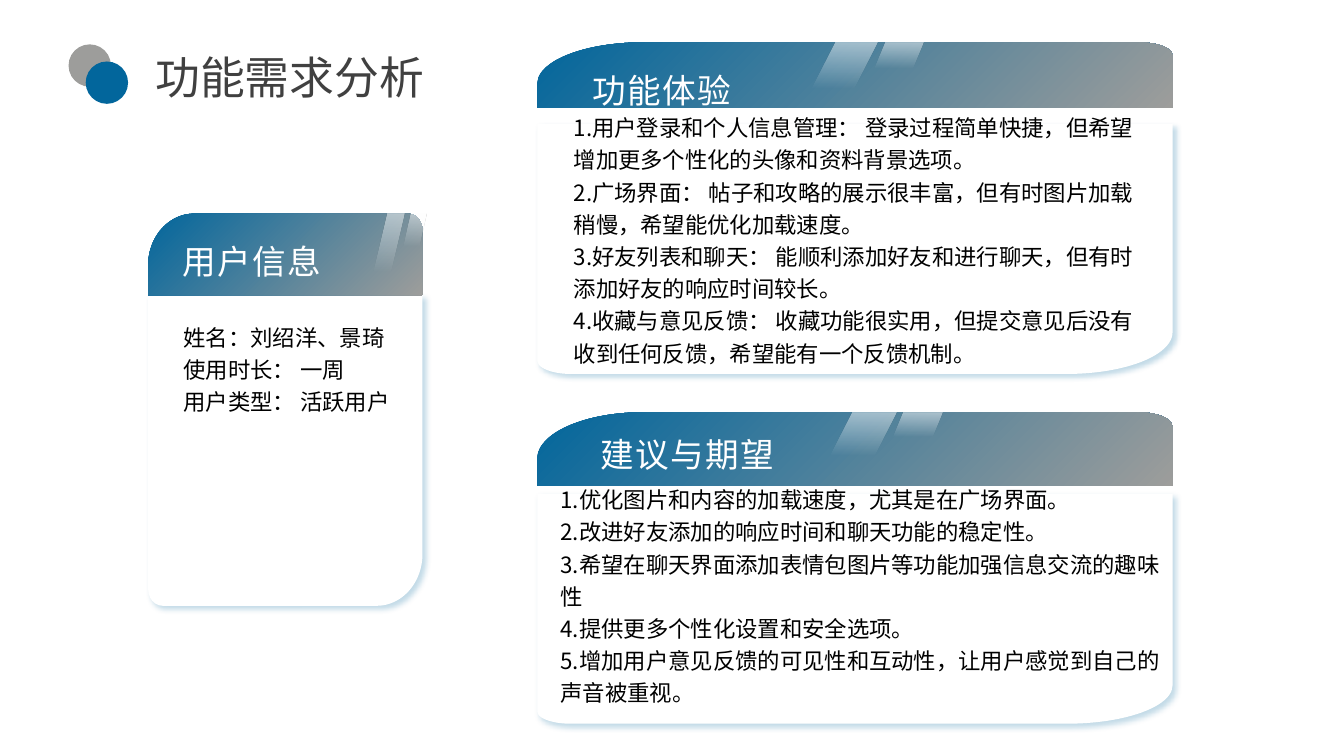
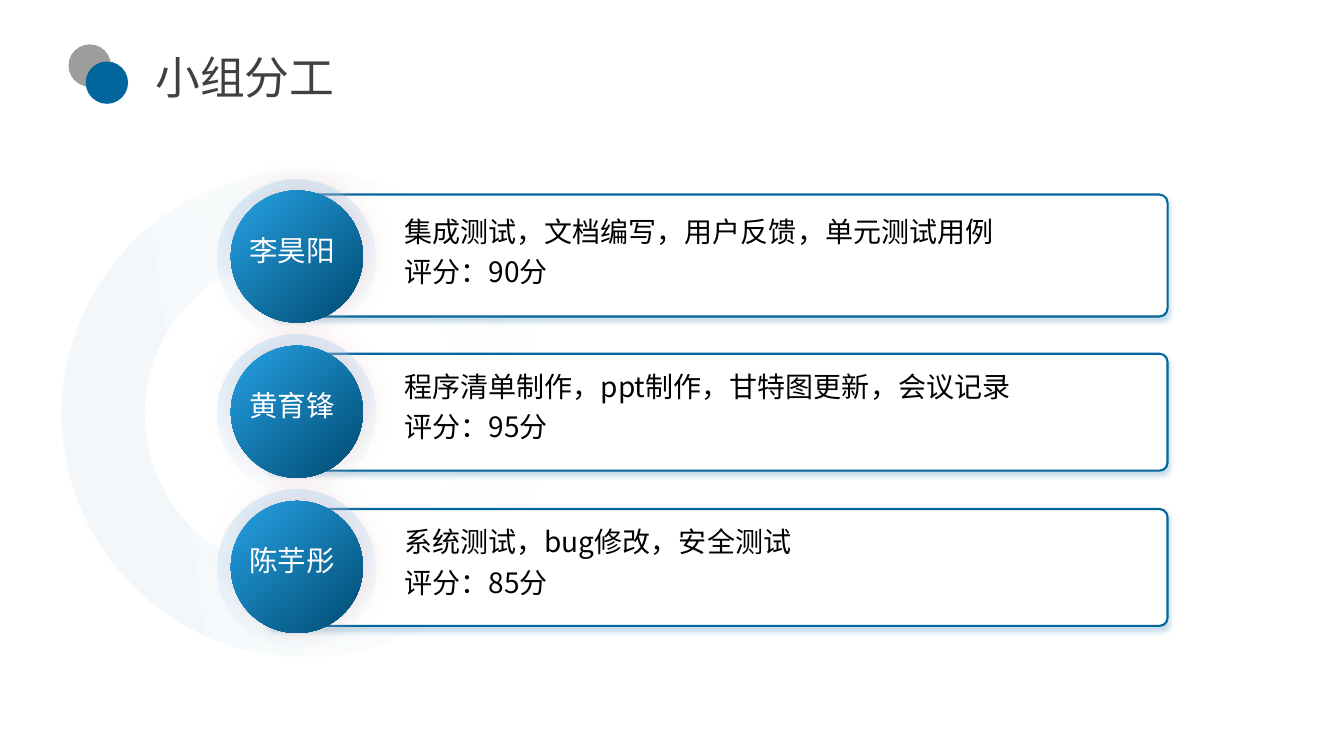
from pptx import Presentation
from pptx.dml.color import RGBColor
from pptx.enum.shapes import MSO_SHAPE as Preset
from pptx.enum.text import MSO_ANCHOR as Anchor, MSO_AUTO_SIZE as AutoSize, PP_ALIGN as Align
from pptx.oxml import parse_xml
from pptx.oxml.ns import nsdecls, qn
from pptx.util import Inches, Pt

BLUE = RGBColor(0x02, 0x66, 0x9C)
GREY = RGBColor(0x9D, 0x9D, 0x9B)
DARK = RGBColor(0x40, 0x40, 0x40)
BLACK = RGBColor(0, 0, 0)
WHITE = RGBColor(255, 255, 255)
MIST = RGBColor(0xFC, 0xFE, 0xFD)
PALE = RGBColor(0xB9, 0xE6, 0xFE)
SKY = RGBColor(0x74, 0xCD, 0xFD)
BRIGHT = RGBColor(0x2E, 0xB4, 0xFC)
NAVY = RGBColor(0x01, 0x4D, 0x75)
PINK = RGBColor(0xF0, 0xAA, 0xAD)
FONT = "Noto Sans CJK JP"


def paint(shape, fill, angle=90, shadow=None):
    shape.line.fill.background()
    shape.shadow.inherit = False
    properties = shape._element.spPr
    if isinstance(fill, RGBColor):
        shape.fill.solid()
        shape.fill.fore_color.rgb = fill
    else:
        stops = "".join(
            f'<a:gs pos="{place * 1000}"><a:srgbClr val="{colour}">'
            f'<a:alpha val="{alpha * 1000}"/></a:srgbClr></a:gs>'
            for place, colour, alpha in fill
        )
        shape.fill.background()
        properties.replace(properties.find(qn("a:noFill")), parse_xml(
            f'<a:gradFill {nsdecls("a")} rotWithShape="1"><a:gsLst>{stops}</a:gsLst>'
            f'<a:lin ang="{angle * 60000}" scaled="0"/></a:gradFill>'))
    if shadow:
        colour, alpha, blur, distance, direction = shadow
        properties.find(qn("a:effectLst")).append(parse_xml(
            f'<a:outerShdw {nsdecls("a")} blurRad="{Pt(blur)}" dist="{Pt(distance)}" '
            f'dir="{direction * 60000}" algn="ctr" rotWithShape="0"><a:srgbClr val="{colour}">'
            f'<a:alpha val="{alpha * 1000}"/></a:srgbClr></a:outerShdw>'))


def write(box, place, text, size, colour, inset=(0, 0), leading=1.2, wrap=True, spacing=0):
    box.left, box.top, box.width, box.height = [Inches(value) for value in place]
    frame = box.text_frame
    frame.text = text
    frame.word_wrap = wrap
    frame.auto_size = AutoSize.NONE
    frame.vertical_anchor = Anchor.TOP
    frame.margin_left = frame.margin_right = Inches(inset[0])
    frame.margin_top = frame.margin_bottom = Inches(inset[1])
    for para in frame.paragraphs:
        para.alignment = Align.LEFT
        para.line_spacing = leading
        para.space_before = Pt(0)
        settings = para._p.get_or_add_pPr()
        settings.set("marL", "0")
        settings.set("indent", "0")
        settings.append(parse_xml(f'<a:buNone {nsdecls("a")}/>'))
        for span in para.runs:
            span.font.size = Pt(size)
            span.font.bold = False
            span.font.color.rgb = colour
            span.font.name = FONT
            letters = span._r.get_or_add_rPr()
            letters.set("spc", str(spacing * 100))
            letters.append(parse_xml(f'<a:ea {nsdecls("a")} typeface="{FONT}"/>'))


deck = Presentation()
deck.slide_width = Inches(13.33)
deck.slide_height = Inches(7.5)

pages = []
for title, layout in (("功能需求分析", 4), ("小组分工", 5)):
    page = deck.slides.add_slide(deck.slide_layouts[layout])
    for left, top, colour in ((0.68, 0.44, GREY), (0.85, 0.61, BLUE)):
        dot = page.shapes.add_shape(Preset.FLOWCHART_CONNECTOR, Inches(left), Inches(top),
                                    Inches(0.42), Inches(0.42))
        paint(dot, colour)
    write(page.shapes.title, (1.44, 0.44, 2.9, 0.64), title, 32, DARK,
          inset=(0.1, 0.05), leading=1)
    pages.append(page)
needs, team = pages

cards = [
    dict(left=1.47, width=2.72, header=(2.12, 0.81), body=(2.93, 3.08), shine=(3.66, 0.35, 0.75),
         slots=None, heading="用户信息", heading_at=(1.81, 2.31, 1.91, 0.48),
         text_at=(1.82, 3.16, 2.56, 0.97),
         lines=["姓名：刘绍洋、景琦", "使用时长： 一周", "用户类型： 活跃用户"]),
    dict(left=5.33, width=6.3, header=(0.42, 0.65), body=(1.23, 2.48), shine=(7.98, 0.72, 0.6),
         slots=(1, 2), heading="功能体验", heading_at=(5.88, 0.61, 3.95, 0.39),
         text_at=(5.69, 1.08, 5.72, 2.22),
         lines=["1.用户登录和个人信息管理： 登录过程简单快捷，但希望增加更多个性化的头像和资料背景选项。",
                "2.广场界面： 帖子和攻略的展示很丰富，但有时图片加载稍慢，希望能优化加载速度。",
                "3.好友列表和聊天： 能顺利添加好友和进行聊天，但有时添加好友的响应时间较长。",
                "4.收藏与意见反馈： 收藏功能很实用，但提交意见后没有收到任何反馈，希望能有一个反馈机制。"]),
    dict(left=5.33, width=6.3, header=(4.09, 0.73), body=(4.9, 2.28), shine=(8.17, 0.72, 0.56),
         slots=(3, 4), heading="建议与期望", heading_at=(5.96, 4.22, 3.95, 0.36),
         text_at=(5.56, 4.77, 6, 2.25),
         lines=["1.优化图片和内容的加载速度，尤其是在广场界面。",
                "2.改进好友添加的响应时间和聊天功能的稳定性。",
                "3.希望在聊天界面添加表情包图片等功能加强信息交流的趣味性",
                "4.提供更多个性化设置和安全选项。",
                "5.增加用户意见反馈的可见性和互动性，让用户感觉到自己的声音被重视。"]),
]

for card in cards:
    for part, tall, low, turn in (("body", 1 / 6, 1 / 19, 0), ("header", 0.63, 0.2, 180)):
        top, height = card[part]
        outline = [(0, tall), (1 / 6, 0), (18 / 19, 0), (1, low), (1, 1), (0, 1)]
        if part == "body":
            outline = [(1 - across, 1 - down) for across, down in outline]
        points = [(Inches(card["left"] + card["width"] * across), Inches(top + height * down))
                  for across, down in outline]
        builder = needs.shapes.build_freeform(*points[0])
        builder.add_line_segments(points[1:], close=True)
        panel = builder.convert_to_shape()
        edges = list(panel._element.iter(qn("a:lnTo")))
        for edge, across, down, start in ((0, 1 / 6, tall, turn), (2, 1 / 19, low, turn + 90)):
            edges[edge].getparent().replace(edges[edge], parse_xml(
                f'<a:arcTo {nsdecls("a")} wR="{Inches(card["width"] * across)}" '
                f'hR="{Inches(height * down)}" stAng="{start * 60000}" swAng="5400000"/>'))
        if part == "body":
            paint(panel, WHITE, shadow=(BLUE, 24, 4, 3, 45))
        else:
            paint(panel, [(0, BLUE, 100), (100, GREY, 100)], 45)

    if card["slots"]:
        heading, listing = [needs.placeholders[slot] for slot in card["slots"]]
        for box in (heading, listing):
            needs.shapes._spTree.append(box._element)
    else:
        heading, listing = [needs.shapes.add_textbox(0, 0, 0, 0) for _ in range(2)]
    write(heading, card["heading_at"], card["heading"], 24, WHITE, spacing=1)
    write(listing, card["text_at"], "\n".join(card["lines"]), 16, BLACK)

for card in cards:
    left, width, height = card["shine"]
    for shift, wide, high, slant, fade in ((0, 1, 1, 0.505, 76), (0.88, 0.76, 0.67, 0.413, 64)):
        gleam = needs.shapes.add_shape(Preset.PARALLELOGRAM, Inches(left + shift * width),
                                       Inches(card["header"][0]), Inches(wide * width),
                                       Inches(high * height))
        gleam.adjustments[0] = slant
        paint(gleam, [(0, WHITE, 50), (fade, MIST, 0)])

arc = team.shapes.add_shape(Preset.DONUT, Inches(0.61), Inches(1.69), Inches(4.82), Inches(4.82))
arc.adjustments[0] = 0.171
arc.rotation = 262.5
paint(arc, [(24, BLUE, 4), (100, WHITE, 0)])

members = [
    ("李昊阳", "集成测试，文档编写，用户反馈，单元测试用例\n评分：90分", 2.7, 1.93, 1.21),
    ("黄育锋", "程序清单制作，ppt制作，甘特图更新，会议记录\n评分：95分", 2.65, 3.51, 1.16),
    ("陈芋彤", "系统测试，bug修改，安全测试\n评分：85分", 2.65, 5.05, 1.16),
]
for row, (name, tasks, left, top, height) in enumerate(members):
    row_top = 1.78 + row * 1.54
    bar = team.shapes.add_shape(Preset.ROUNDED_RECTANGLE, Inches(left), Inches(top),
                                Inches(11.58 - left), Inches(height))
    bar.adjustments[0] = 0.068
    paint(bar, WHITE, shadow=(BLUE, 22, 3.3, 2.5, 90))
    bar.line.color.rgb = BLUE
    bar.line.width = Pt(1.5)

    halo = team.shapes.add_shape(Preset.OVAL, Inches(2.16), Inches(row_top),
                                 Inches(1.56), Inches(1.56))
    halo.rotation = 173.1
    paint(halo, [(0, PALE, 0), (83, SKY, 28)])

    badge = team.shapes.add_shape(Preset.OVAL, Inches(2.29), Inches(row_top + 0.11),
                                  Inches(1.31), Inches(1.31))
    badge.rotation = 316.2
    paint(badge, [(0, BRIGHT, 100), (83, NAVY, 100)], shadow=(PINK, 40, 20, 4, 300))

    write(team.shapes.add_textbox(0, 0, 0, 0), (2.42, row_top + 0.5, 0.96, 0.4), name, 20.4, WHITE,
          inset=(0.05, 0.03), leading=1, wrap=False)
    write(team.shapes.add_textbox(0, 0, 0, 0), (3.93, row_top + 0.24, 7.59, 0.89), tasks, 20, BLACK,
          inset=(0.08, 0.04))

deck.save("out.pptx")
